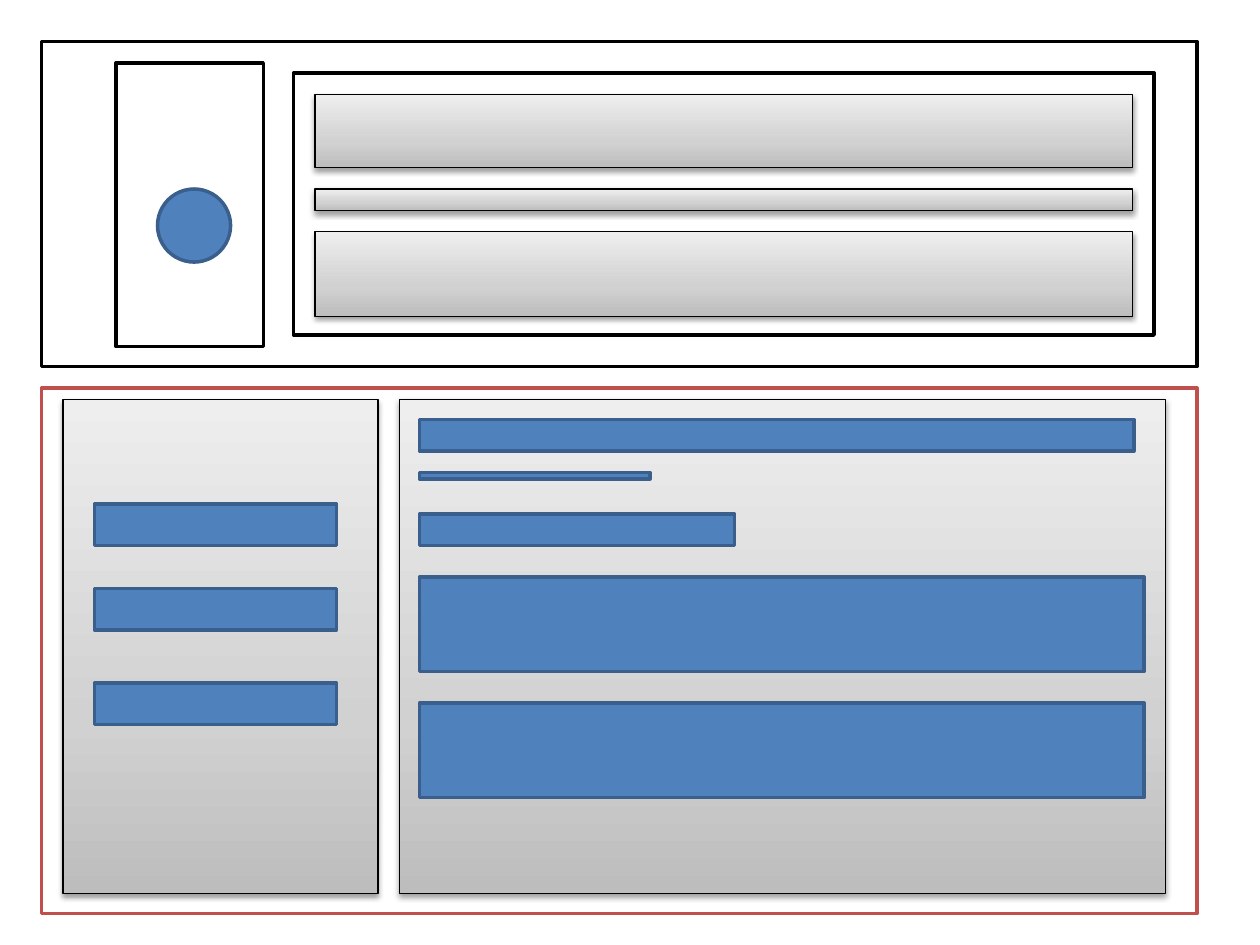
from copy import deepcopy

from lxml import etree
from pptx import Presentation
from pptx.dml.color import RGBColor
from pptx.enum.shapes import MSO_SHAPE
from pptx.oxml.ns import qn
from pptx.util import Inches, Pt

RECTANGLE = MSO_SHAPE.RECTANGLE
OVAL = MSO_SHAPE.OVAL

WHITE = RGBColor(0xFF, 0xFF, 0xFF)
BLACK = RGBColor(0x00, 0x00, 0x00)
RED = RGBColor(0xC0, 0x50, 0x4D)
BLUE = RGBColor(0x4F, 0x81, 0xBD)
DARK_BLUE = RGBColor(0x3A, 0x5F, 0x8C)
GREY_STOPS = (
    (0, RGBColor(0xBD, 0xBD, 0xBD)),
    (0.35, RGBColor(0xD1, 0xD1, 0xD1)),
    (1, RGBColor(0xEE, 0xEE, 0xEE)),
)
BLANK_LAYOUT = 6


def add_outlined(slide, box, line_color, line_width, kind=RECTANGLE):
    shape = slide.shapes.add_shape(kind, *(Inches(length) for length in box))
    shape.shadow.inherit = False
    shape.line.color.rgb = line_color
    shape.line.width = Pt(line_width)
    return shape


def add_frame(slide, box, line_color=BLACK):
    frame = add_outlined(slide, box, line_color, 2)
    frame.fill.solid()
    frame.fill.fore_color.rgb = WHITE


def add_block(slide, box, kind=RECTANGLE):
    block = add_outlined(slide, box, DARK_BLUE, 2, kind)
    block.fill.solid()
    block.fill.fore_color.rgb = BLUE


def add_panel(slide, box):
    """Add a grey panel, lighter at the top, with a soft shadow below."""
    panel = add_outlined(slide, box, BLACK, 0.75)
    panel.fill.gradient()
    panel.fill.gradient_angle = 90
    properties = panel._element.spPr
    stop_list = properties.find(qn("a:gradFill")).find(qn("a:gsLst"))
    stop_list.insert(1, deepcopy(stop_list[0]))
    for stop, (position, color) in zip(panel.fill.gradient_stops, GREY_STOPS):
        stop.position = position
        stop.color.rgb = color

    effects = properties.find(qn("a:effectLst"))
    shadow = etree.SubElement(
        effects, qn("a:outerShdw"), blurRad=str(Pt(3.1)), dist=str(Pt(1.6)),
        dir="5400000", rotWithShape="0")
    shadow_color = etree.SubElement(shadow, qn("a:srgbClr"), val=str(BLACK))
    etree.SubElement(shadow_color, qn("a:alpha"), val="38000")


def draw_header(slide, box):
    left, top, _, _ = box
    add_frame(slide, box)
    draw_emblem(slide, (left + 0.59, top + 0.17, 1.17, 2.25))
    draw_banner(slide, (left + 2, top + 0.25, 6.83, 2.08))


def draw_emblem(slide, box):
    left, top, _, _ = box
    add_frame(slide, box)
    add_block(slide, (left + 0.33, top + 1, 0.58, 0.58), OVAL)


def draw_banner(slide, box):
    left, top, width, _ = box
    margin = gap = 0.17
    add_frame(slide, box)
    row_top = top + margin
    for row_height in (0.58, 0.17, 0.67):
        add_panel(slide, (left + margin, row_top, width - 2 * margin, row_height))
        row_top += row_height + gap


def draw_body(slide, box):
    left, top, _, _ = box
    add_frame(slide, box, RED)
    draw_menu(slide, (left + 0.17, top + 0.09, 2.5, 3.92))
    draw_article(slide, (left + 2.84, top + 0.09, 6.08, 3.92))


def draw_menu(slide, box):
    left, top, _, _ = box
    add_panel(slide, box)
    for offset in (0.83, 1.5, 2.25):
        add_block(slide, (left + 0.25, top + offset, 1.92, 0.33))


def draw_article(slide, box):
    left, top, _, _ = box
    add_panel(slide, box)
    rows = (  # offset from the top, width, height
        (0.16, 5.67, 0.25),
        (0.58, 1.83, 0.05),
        (0.91, 2.5, 0.25),
        (1.41, 5.75, 0.75),
        (2.41, 5.75, 0.75),
    )
    for offset, width, height in rows:
        add_block(slide, (left + 0.16, top + offset, width, height))


def main():
    presentation = Presentation()
    presentation.slide_width = Inches(10)
    presentation.slide_height = Inches(7.5)
    slide = presentation.slides.add_slide(presentation.slide_layouts[BLANK_LAYOUT])
    draw_header(slide, (0.33, 0.33, 9.17, 2.58))
    draw_body(slide, (0.33, 3.08, 9.17, 4.17))
    presentation.save("out.pptx")


if __name__ == "__main__":
    main()
